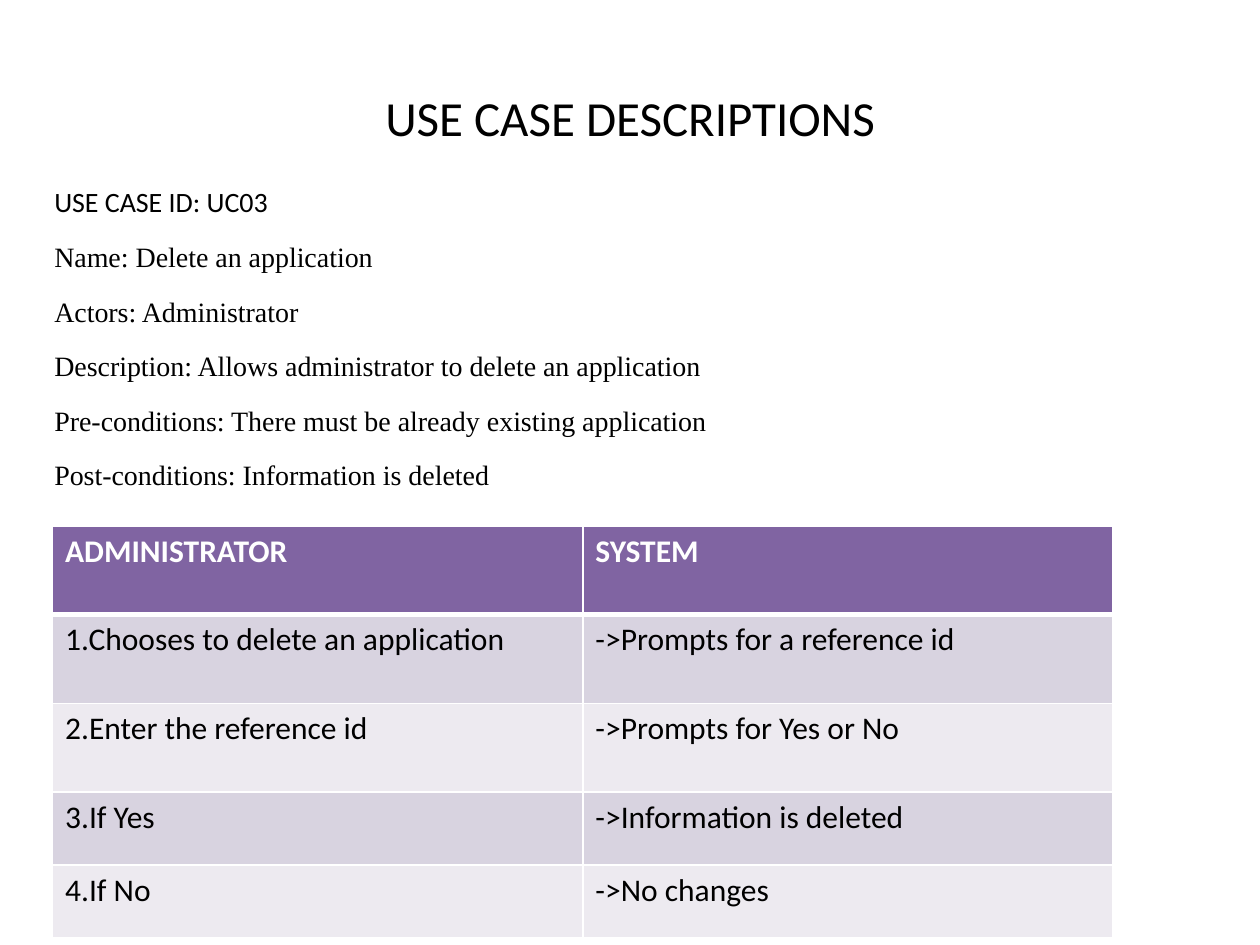
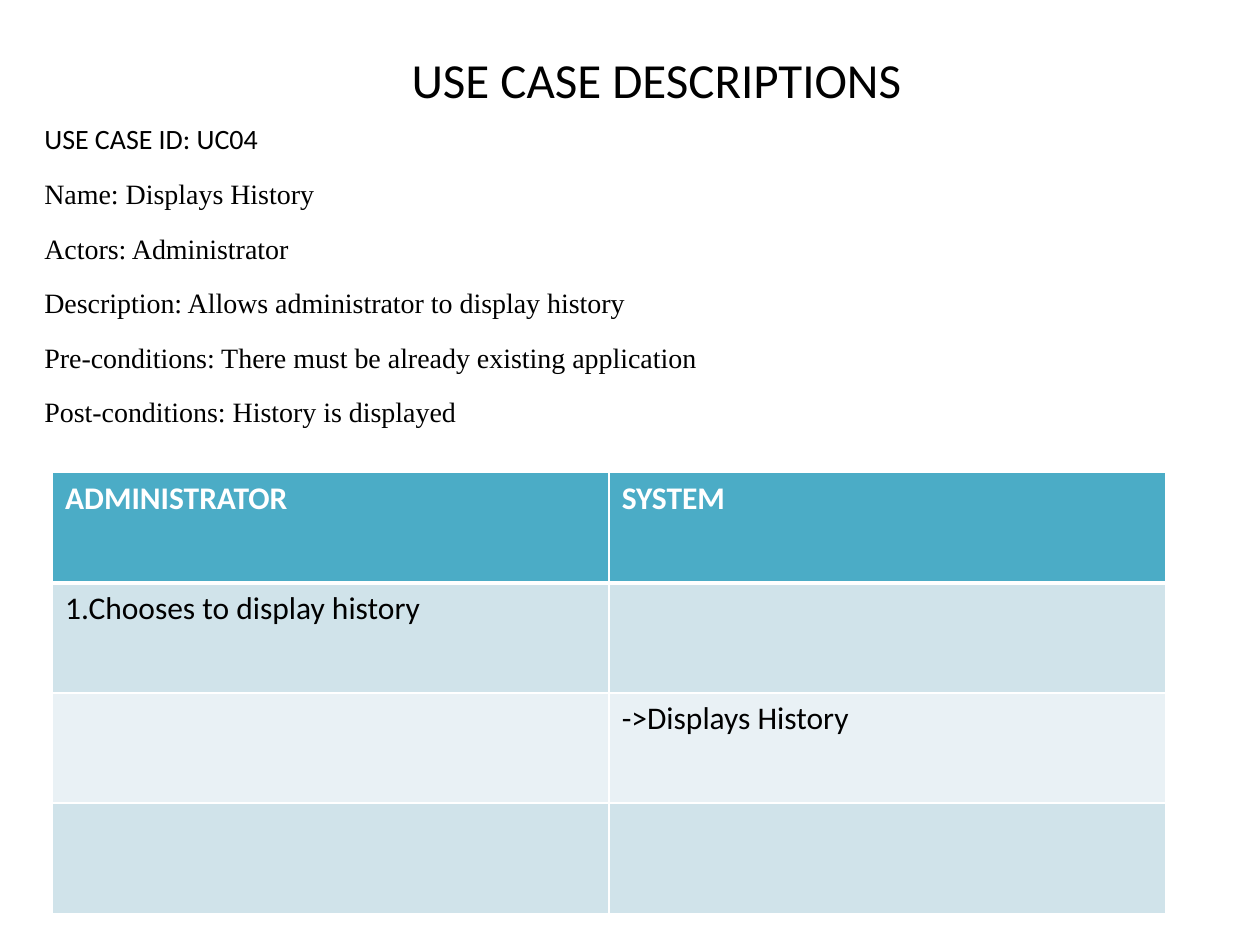
from lxml import etree
from pptx import Presentation
from pptx.dml.color import RGBColor
from pptx.enum.text import MSO_ANCHOR, MSO_AUTO_SIZE as AUTO, PP_ALIGN
from pptx.oxml.ns import qn
from pptx.util import Cm, Pt

BLACK, WHITE = "000000", "FFFFFF"
TITLE = {"size": Pt(28), "name": "Calibri", "bold": False}
USE_CASE_ID = {"size": Pt(16), "name": "Calibri"}
DETAIL = {"size": Pt(16), "name": "Times New Roman"}
HEADER = {"size": Pt(18), "name": "Calibri", "bold": True}
STEP = {"size": Pt(18), "name": "Calibri", "bold": False}


def rgb(hex_color):
    return RGBColor.from_string(hex_color)


def write(p, text, fmt, color=BLACK):
    r = p.add_run()
    r.text = text
    for name, value in fmt.items():
        setattr(r.font, name, value)
    r.font.color.rgb = rgb(color)


use_cases = [
    {
        "title_box": (1.27, 0.76, 22.86, 3.18),
        "body_box": (0.84, 3.6, 23.92, 14.6),
        "table_box": (1.06, 10.6, 21.38),
        "lines": [
            "USE CASE ID: UC03",
            "Name: Delete an application",
            "Actors: Administrator",
            "Description: Allows administrator to delete an application",
            "Pre-conditions: There must be already existing application",
            "Post-conditions: Information is deleted",
        ],
        "fills": ("8064A2", "D8D3E0", "EDEAF0"),
        "row_heights": [1.79] * 3 + [1.47] * 2,
        "steps": [
            ("1.Chooses to delete an application", "->Prompts for a reference id"),
            ("2.Enter the reference id", "->Prompts for Yes or No"),
            ("3.If Yes", "->Information is deleted"),
            ("4.If No", "->No changes"),
        ],
    },
    {
        "title_box": (3.6, 0.42, 19.26, 2.33),
        "body_box": (0.64, 2.33, 24.13, 15.88),
        "table_box": (1.06, 9.53, 22.44),
        "lines": [
            "USE CASE ID: UC04",
            "Name: Displays History",
            "Actors: Administrator",
            "Description: Allows administrator to display history",
            "Pre-conditions: There must be already existing application",
            "Post-conditions: History is displayed",
        ],
        "fills": ("4BACC6", "D0E3EA", "E9F1F5"),
        "row_heights": [2.22] * 4,
        "steps": [
            ("1.Chooses to display history", ""),
            ("", "->Displays History"),
            ("", ""),
        ],
    },
]

prs = Presentation()
prs.slide_width, prs.slide_height = Cm(25.4), Cm(19.05)

for case in use_cases:
    s = prs.slides.add_slide(prs.slide_layouts[1])
    title, body = s.shapes.title, s.placeholders[1]
    for sp, box in ((title, case["title_box"]), (body, case["body_box"])):
        sp.left, sp.top, sp.width, sp.height = map(Cm, box)
        sp.text_frame.auto_size = AUTO.NONE
        sp.text_frame.word_wrap = True

    tf = title.text_frame
    tf.vertical_anchor = MSO_ANCHOR.MIDDLE
    tf.paragraphs[0].alignment = PP_ALIGN.CENTER
    write(tf.paragraphs[0], "USE CASE DESCRIPTIONS", TITLE)

    tf = body.text_frame
    for i, line in enumerate(case["lines"]):
        p = tf.add_paragraph() if i else tf.paragraphs[0]
        if i:
            p.line_spacing = Pt(28)
        pPr = p._p.get_or_add_pPr()
        pPr.set("marL", "0")
        pPr.set("indent", "0")
        etree.SubElement(pPr, qn("a:buNone"))
        write(p, line, DETAIL if i else USE_CASE_ID)

    rows = [("ADMINISTRATOR", "SYSTEM")] + case["steps"]
    left, top, width = case["table_box"]
    heights = case["row_heights"]
    table = s.shapes.add_table(
        len(rows), 2, Cm(left), Cm(top), Cm(width), Cm(sum(heights))
    ).table
    header_fill, *bands = case["fills"]
    for i, row in enumerate(rows):
        table.rows[i].height = Cm(heights[i])
        fill = bands[(i - 1) % 2] if i else header_fill
        for j, text in enumerate(row):
            cell = table.cell(i, j)
            tcPr = cell._tc.get_or_add_tcPr()
            for side in "LRTB":
                thick = (i, side) in ((0, "B"), (1, "T"))
                ln = etree.SubElement(tcPr, qn(f"a:ln{side}"), w=str(Pt(3 if thick else 1)))
                line_fill = etree.SubElement(ln, qn("a:solidFill"))
                etree.SubElement(line_fill, qn("a:srgbClr"), val=WHITE)
            cell.fill.solid()
            cell.fill.fore_color.rgb = rgb(fill)
            if text:
                p = cell.text_frame.paragraphs[0]
                write(p, text, STEP if i else HEADER, BLACK if i else WHITE)

prs.save("out.pptx")
